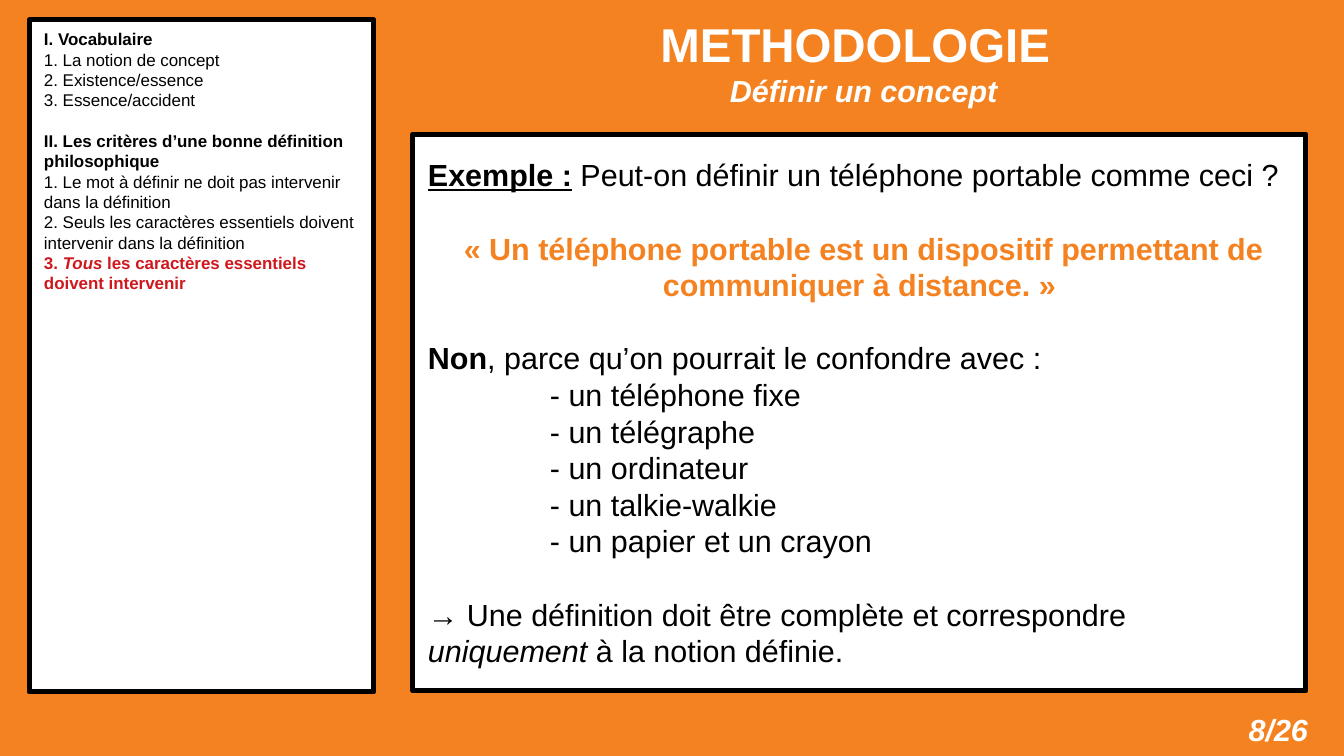
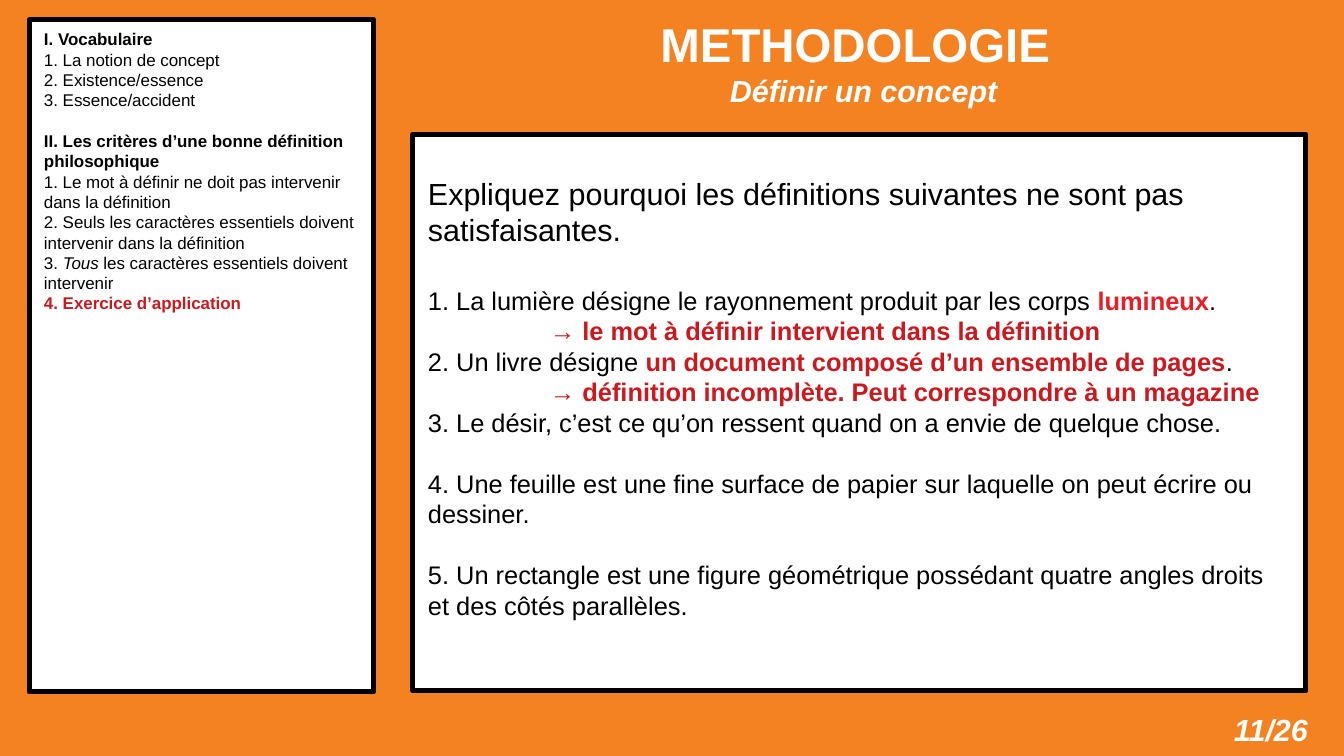
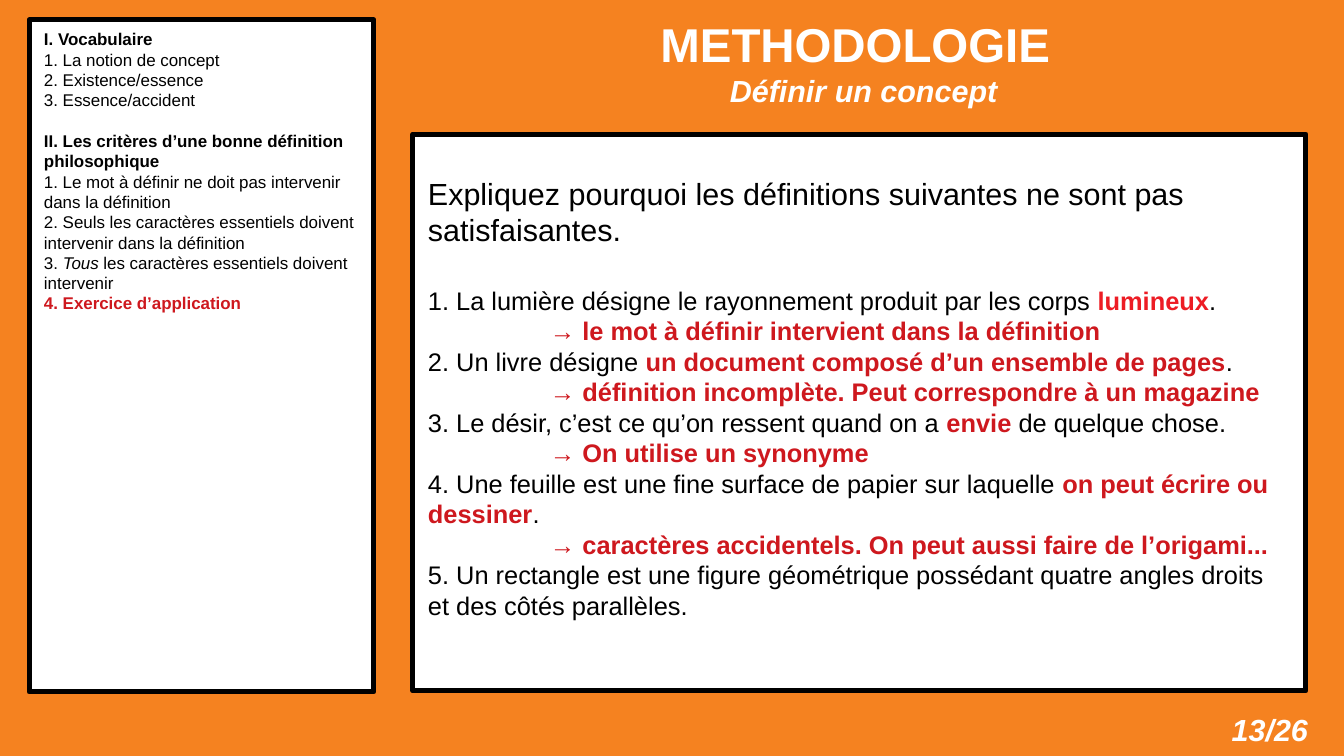
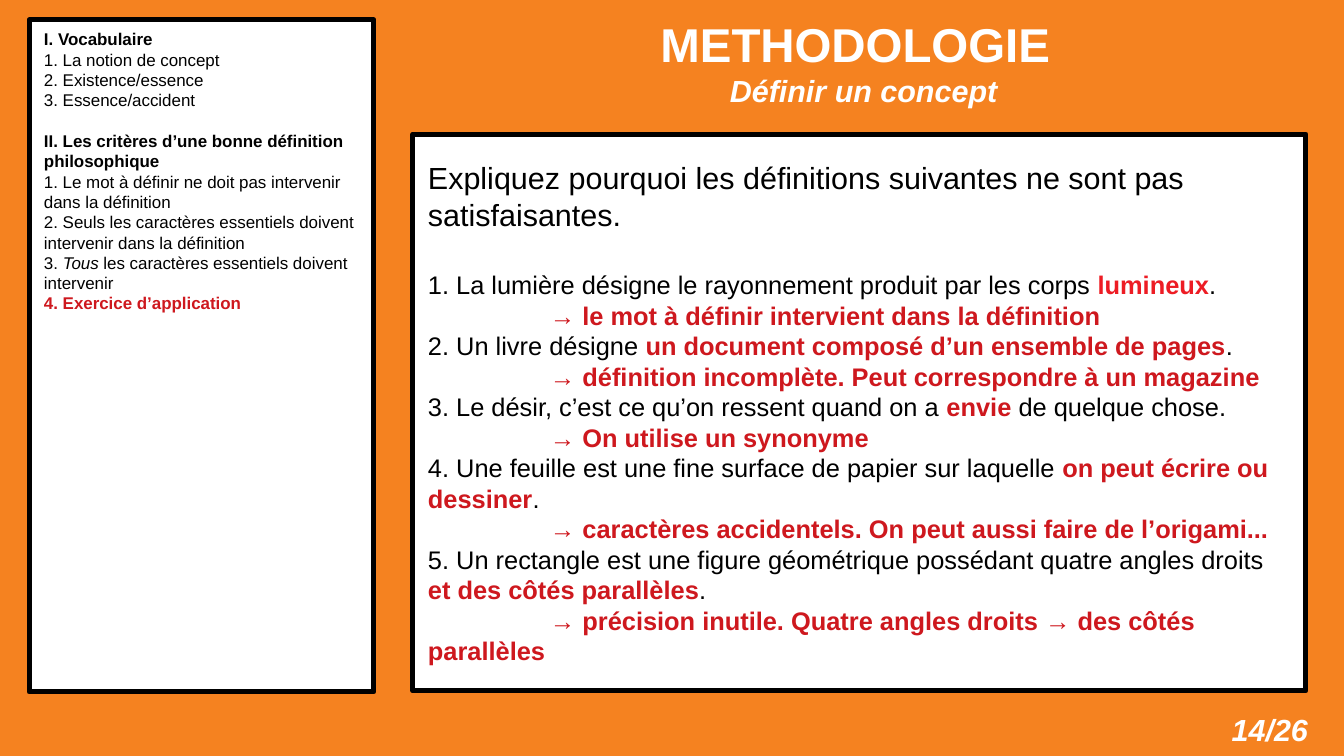
from dataclasses import dataclass

from lxml import etree
from pptx import Presentation, util as u
from pptx.dml.color import RGBColor
from pptx.enum import shapes, text
from pptx.oxml.ns import qn

FONT = "Arial"
ORANGE, RED, BRIGHT = "F58220", "CE181E", "ED1C24"
BLACK, WHITE = "000000", "FFFFFF"
LEFT, MID, RIGHT = text.PP_ALIGN.LEFT, text.PP_ALIGN.CENTER, text.PP_ALIGN.RIGHT
TOP, CENTER = text.MSO_ANCHOR.TOP, text.MSO_ANCHOR.MIDDLE
LEAD = 1.2
BODY, TASK, MENU = 18, 15, 10


@dataclass
class Run:
    text: str
    bold: bool = False
    ital: bool = False
    under: bool = False
    hue: str = BLACK
    size: int = 0


@dataclass
class Para:
    runs: list[Run]
    size: int = BODY
    gap: float = 0
    indent: int = 0
    align: text.PP_ALIGN = LEFT


@dataclass
class Area:
    left: int
    top: int
    width: int
    height: int


@dataclass
class Item:
    lead: str
    key: str
    tail: str
    hint: str
    hue: str = RED


TITLE = Area(413, 0, 893, 124)
PAGE = Area(1191, 705, 129, 51)
SIDE = Area(29, 20, 345, 672)
MAIN = Area(413, 134, 893, 557)

ITEMS = [
    Item("1. La lumière désigne le rayonnement produit par les corps ", "lumineux", ".",
         "le mot à définir intervient dans la définition", BRIGHT),
    Item("2. Un livre désigne ", "un document composé d’un ensemble de pages", ".",
         "définition incomplète. Peut correspondre à un magazine"),
    Item("3. Le désir, c’est ce qu’on ressent quand on a ", "envie", " de quelque chose.",
         "On utilise un synonyme"),
    Item("4. Une feuille est une fine surface de papier sur laquelle ",
         "on peut écrire ou dessiner", ".",
         "caractères accidentels. On peut aussi faire de l’origami..."),
    Item("5. Un rectangle est une figure géométrique possédant quatre angles droits ",
         "et des côtés parallèles", ".",
         "précision inutile. Quatre angles droits → des côtés parallèles"),
]


def px(num: int) -> int:
    return round(num * u.Inches(1) / 122)


def color(code: str) -> RGBColor:
    return RGBColor.from_string(code)


def add_run(para, run: Run, size: int) -> None:
    piece = para.add_run()
    piece.text = run.text
    font = piece.font
    font.name, font.size = FONT, u.Pt(run.size or size)
    font.bold, font.italic, font.underline = run.bold, run.ital, run.under
    font.color.rgb = color(run.hue)


def set_frame(frame, side: int, edge: int, anchor, foot: int = 0) -> None:
    frame.word_wrap = True
    frame.vertical_anchor = anchor
    frame.margin_left = frame.margin_right = px(side)
    frame.margin_top, frame.margin_bottom = px(edge), px(edge + foot)


def add_label(slide, area: Area, anchor, align):
    box = slide.shapes.add_textbox(px(area.left), px(area.top), px(area.width), px(area.height))
    set_frame(box.text_frame, 12, 6, anchor)
    para = box.text_frame.paragraphs[0]
    para.alignment = align
    return para


def add_panel(slide, area: Area, paras: list[Para], anchor, foot: int = 0) -> None:
    box = slide.shapes.add_shape(shapes.MSO_SHAPE.RECTANGLE, px(area.left), px(area.top),
                                 px(area.width), px(area.height))
    box.shadow.inherit = False
    box.fill.solid()
    box.fill.fore_color.rgb = color(WHITE)
    box.line.color.rgb = color(BLACK)
    box.line.width = px(5)
    etree.SubElement(box._element.spPr.find(qn("a:ln")), qn("a:round"))
    frame = box.text_frame
    set_frame(frame, 15, 9, anchor, foot)
    for rank, para in enumerate(paras):
        line = frame.add_paragraph() if rank else frame.paragraphs[0]
        line.alignment = para.align
        line.line_spacing = u.Pt(para.size * LEAD)
        if para.gap:
            line.space_before = u.Pt(para.gap)
        if para.indent:
            props = line._p.get_or_add_pPr()
            props.set("marL", "0")
            props.set("indent", str(px(para.indent)))
        for run in para.runs:
            add_run(line, run, para.size)


def menu(step: int) -> list[Para]:
    now = step == 3
    hue = RED if now else BLACK
    rows = [
        [Run("I. Vocabulaire", True)],
        [Run("1. La notion de concept")],
        [Run("2. Existence/essence")],
        [Run("3. Essence/accident")],
        [Run("II. Les critères d’une bonne définition philosophique", True)],
        [Run("1. Le mot à définir ne doit pas intervenir dans la définition")],
        [Run("2. Seuls les caractères essentiels doivent intervenir dans la définition")],
        [Run("3. ", now, hue=hue), Run("Tous", now, True, hue=hue),
         Run(" les caractères essentiels doivent intervenir", now, hue=hue)],
    ]
    if step == 4:
        rows.append([Run("4. Exercice d’application", True, hue=RED)])
    return [Para(row, MENU, MENU * LEAD if rank == 4 else 0) for rank, row in enumerate(rows)]


def sample() -> list[Para]:
    gap = BODY * LEAD
    names = ["téléphone fixe", "télégraphe", "ordinateur", "talkie-walkie", "papier et un crayon"]
    return [
        Para([Run("Exemple :", True, under=True),
              Run(" Peut-on définir un téléphone portable comme ceci ?")]),
        Para([Run(" « Un téléphone portable est un dispositif permettant de "
                  "communiquer à distance. »", True, hue=ORANGE)], gap=gap, align=MID),
        Para([Run("Non", True), Run(", parce qu’on pourrait le confondre avec :")], gap=gap),
        *[Para([Run(f"- un {name}")], indent=122) for name in names],
        Para([Run("→ Une définition doit être complète et correspondre "),
              Run("uniquement", ital=True), Run(" à la notion définie.")], gap=gap),
    ]


def task(done: int) -> list[Para]:
    paras = [Para([Run("Expliquez pourquoi les définitions suivantes ne sont pas satisfaisantes.")])]
    gap = BODY * LEAD
    for rank, item in enumerate(ITEMS):
        if rank < done:
            runs = [Run(item.lead), Run(item.key, True, hue=item.hue), Run(item.tail)]
            paras.append(Para(runs, TASK, gap))
            paras.append(Para([Run(f"→ {item.hint}", True, hue=RED)], TASK, indent=122))
            gap = 0
        else:
            paras.append(Para([Run(item.lead + item.key + item.tail)], TASK, gap))
            gap = TASK * LEAD
    return paras


def add_slide(deck, page: int, step: int, paras: list[Para], foot: int = 0) -> None:
    slide = deck.slides.add_slide(deck.slide_layouts[6])
    head = add_label(slide, TITLE, CENTER, MID)
    add_run(head, Run("METHODOLOGIE", True, hue=WHITE, size=28), BODY)
    add_run(head, Run(" ", True, hue=WHITE), BODY)
    head.add_line_break()
    add_run(head, Run(" ", True, hue=WHITE), BODY)
    add_run(head, Run("Définir un concept", True, True, hue=WHITE), BODY)
    add_run(add_label(slide, PAGE, TOP, RIGHT), Run(f"{page}/26", True, True, hue=WHITE), BODY)
    add_panel(slide, SIDE, menu(step), TOP)
    add_panel(slide, MAIN, paras, CENTER, foot)


def main() -> None:
    deck = Presentation()
    deck.slide_width, deck.slide_height = px(1344), px(756)
    back = deck.slide_master.background.fill
    back.solid()
    back.fore_color.rgb = color(ORANGE)
    add_slide(deck, 8, 3, sample())
    for page, done in [(11, 2), (13, 4), (14, 5)]:
        add_slide(deck, page, 4, task(done), 0 if done == len(ITEMS) else 30)
    deck.save("out.pptx")


if __name__ == "__main__":
    main()
